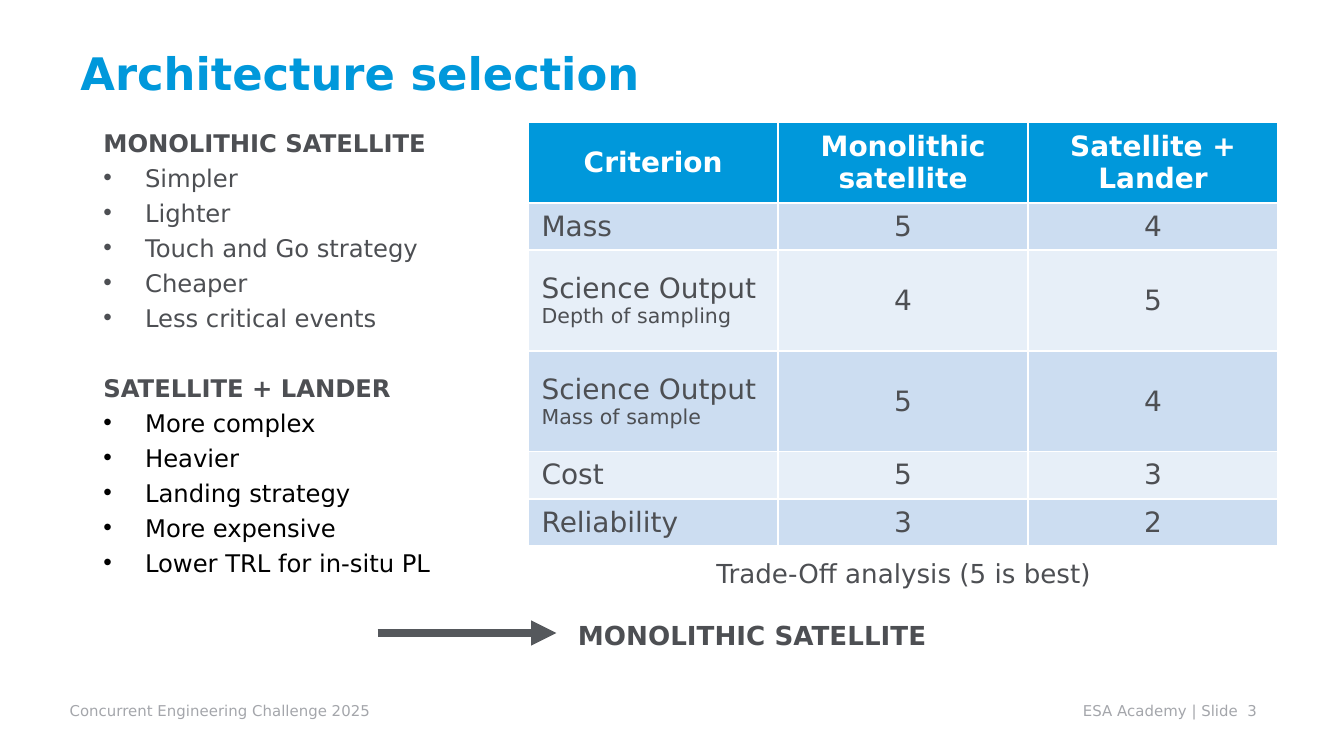
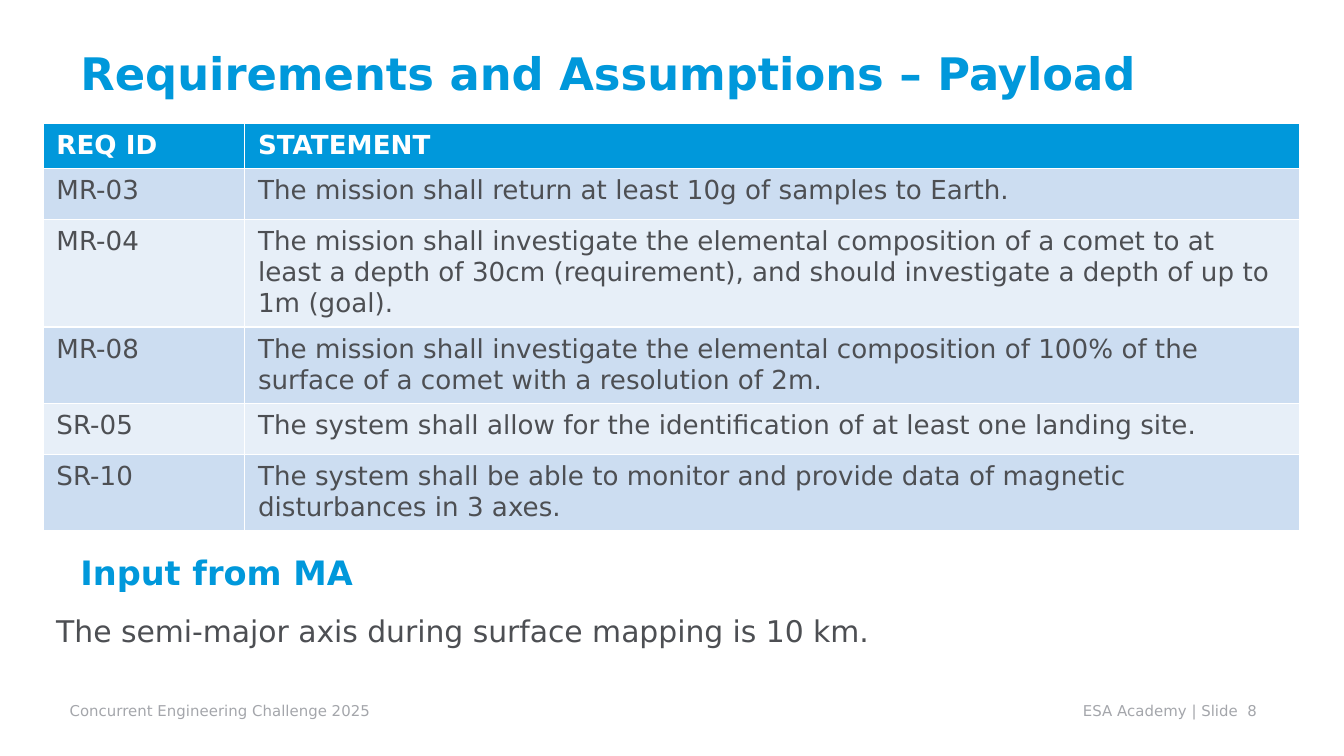
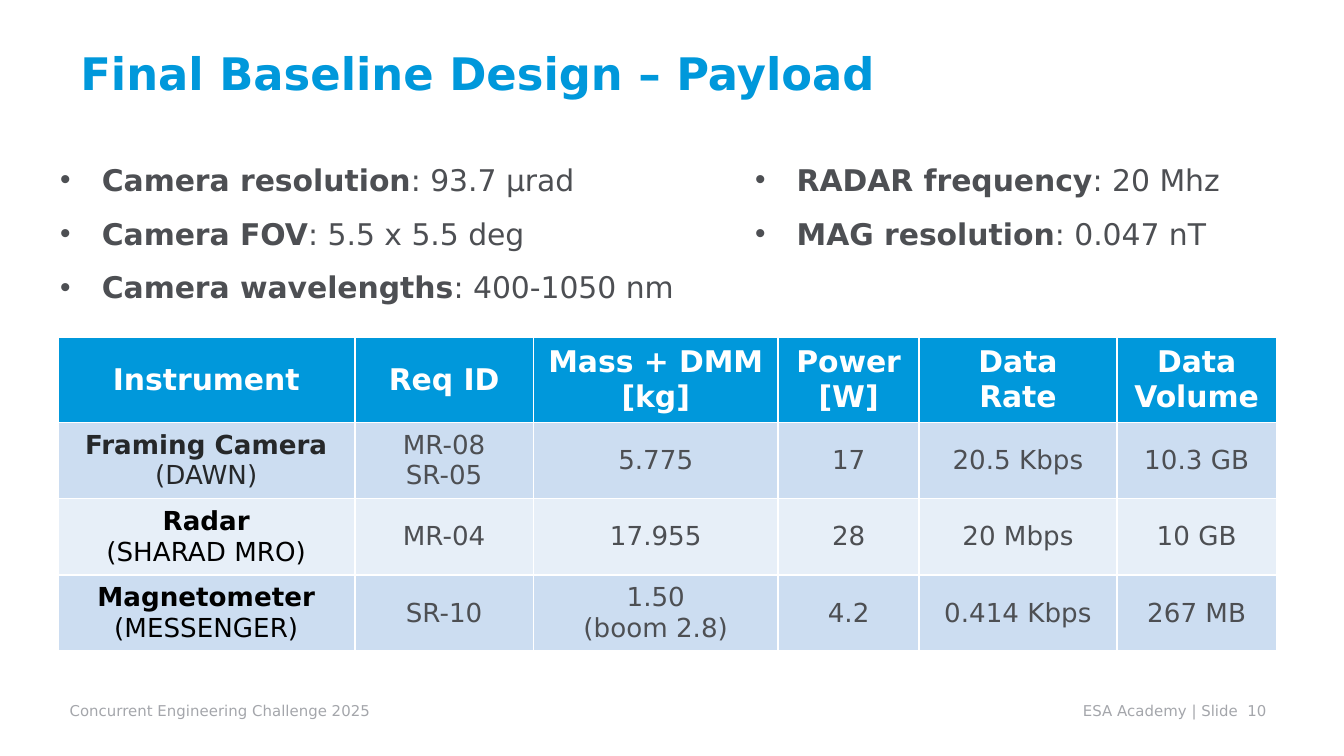
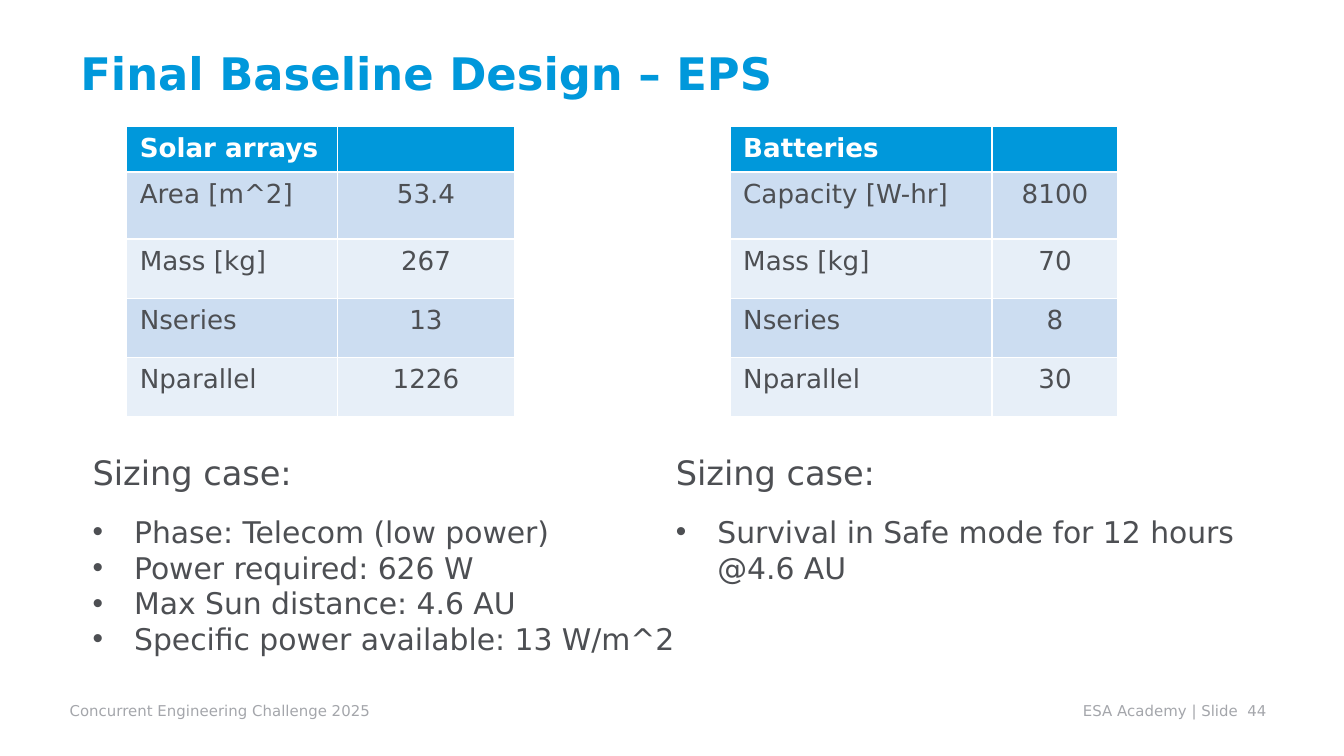
from dataclasses import dataclass

from lxml.etree import SubElement
from pptx import Presentation
from pptx.dml.color import RGBColor
from pptx.enum.shapes import MSO_CONNECTOR
from pptx.enum.text import MSO_ANCHOR, PP_ALIGN
from pptx.oxml.ns import qn
from pptx.util import Inches, Pt

STRAIGHT = MSO_CONNECTOR.STRAIGHT
TOP, MIDDLE = MSO_ANCHOR.TOP, MSO_ANCHOR.MIDDLE
LEFT, CENTER = PP_ALIGN.LEFT, PP_ALIGN.CENTER

FONT = "DejaVu Sans"
COLORS = {
    "accent": "0098DB",
    "text": "4D4F53",
    "dark": "26282A",
    "black": "000000",
    "white": "FFFFFF",
    "footer": "A4A6AB",
    "arrow": "55585C",
    "band": "CCDDF1",
    "band_light": "E7EFF8",
}
SLIDE_WIDTH = 10
SLIDE_HEIGHT = SLIDE_WIDTH * 9 / 16
TITLE_BOX = (0.5, 0.07, 9, 0.94)
NUMBER_BOX = (7.96, 5.17, 1.6, 0.21)
EVENT_BOX = (0.42, 5.17, 2.5, 0.21)
DEFAULT_INSETS = (0.1, 0.05, 0.1, 0.05)
FOOTER_INSETS = (0.1, 0.05, 0, 0.05)
NO_INSETS = (0, 0, 0, 0)
BULLET_INDENT = 0.31


@dataclass(frozen=True)
class Span:
    text: str
    size: float = None
    bold: bool = None


@dataclass(frozen=True)
class Line:
    content: object
    size: float = 14
    color: str = "text"
    bold: bool = False
    align: object = LEFT
    bullet: bool = False
    spacing: float = None
    before: float = None


def rgb(name):
    return RGBColor.from_string(COLORS[name])


def add_bullet(paragraph):
    properties = paragraph._p.get_or_add_pPr()
    properties.set("marL", str(Inches(BULLET_INDENT)))
    properties.set("indent", str(-Inches(BULLET_INDENT)))
    SubElement(properties, qn("a:buFont"), typeface="Arial")
    SubElement(properties, qn("a:buChar"), char="•")


def write_line(paragraph, line):
    spans = [Span(line.content)] if isinstance(line.content, str) else line.content
    if line.bullet:
        add_bullet(paragraph)
    paragraph.alignment = line.align
    if line.spacing:
        paragraph.line_spacing = line.spacing
    if line.before:
        paragraph.space_before = Pt(line.before)
    if line.content == "":
        SubElement(paragraph._p, qn("a:endParaRPr"), sz=str(line.size * 100))
        return
    for span in spans:
        run = paragraph.add_run()
        run.text = span.text
        run.font.name = FONT
        run.font.size = Pt(span.size or line.size)
        run.font.bold = line.bold if span.bold is None else span.bold
        run.font.color.rgb = rgb(line.color)


def write_lines(text_frame, lines):
    for index, line in enumerate(lines):
        paragraph = text_frame.add_paragraph() if index else text_frame.paragraphs[0]
        write_line(paragraph, line)


def add_text(slide, box, lines, insets=DEFAULT_INSETS, anchor=TOP):
    shape = slide.shapes.add_textbox(*(Inches(length) for length in box))
    text_frame = shape.text_frame
    text_frame.word_wrap = True
    text_frame.vertical_anchor = anchor
    (text_frame.margin_left, text_frame.margin_top,
     text_frame.margin_right, text_frame.margin_bottom) = map(Inches, insets)
    write_lines(text_frame, lines)


def add_table(slide, position, columns, heights, rows, aligns,
              size=14, header_size=None, header_align=LEFT, anchor=TOP):
    left, top = position
    frame = slide.shapes.add_table(
        len(rows), len(columns), Inches(left), Inches(top),
        Inches(sum(columns)), Inches(sum(heights)))
    table = frame.table
    for column, width in zip(table.columns, columns):
        column.width = Inches(width)
    for row, height in zip(table.rows, heights):
        row.height = Inches(height)
    for row_index, values in enumerate(rows):
        header = row_index == 0
        fill = "accent" if header else "band" if row_index % 2 else "band_light"
        for column_index, value in enumerate(values):
            cell = table.cell(row_index, column_index)
            cell.fill.solid()
            cell.fill.fore_color.rgb = rgb(fill)
            cell.vertical_anchor = anchor
            if isinstance(value, str):
                value = [
                    Line(text, header_size or size if header else size,
                         "white" if header else "text", header,
                         header_align if header else aligns[column_index])
                    for text in value.split("\n")]
            write_lines(cell.text_frame, value)


def add_arrow(slide, start, end):
    connector = slide.shapes.add_connector(STRAIGHT, *map(Inches, start + end))
    connector.line.color.rgb = rgb("arrow")
    connector.line.width = Pt(4.5)
    SubElement(connector.line._get_or_add_ln(), qn("a:tailEnd"), type="triangle")
    SubElement(connector._element.spPr, qn("a:effectLst"))


def add_base_slide(presentation, title, number):
    slide = presentation.slides.add_slide(presentation.slide_layouts[6])
    footers = ((NUMBER_BOX, f"ESA Academy | Slide  {number}"),
               (EVENT_BOX, "Concurrent Engineering Challenge 2025"))
    for box, text in footers:
        add_text(slide, box, [Line(text, 8, "footer")], FOOTER_INSETS)
    add_text(slide, TITLE_BOX, [Line(title, 24, "accent", True)], anchor=MIDDLE)
    return slide


def option_lines(heading, points, color, before=None):
    return [Line(heading, 13, bold=True, spacing=1.2, before=before)] + [
        Line(point, 13, color, bullet=True, spacing=1.2) for point in points]


def science_output(detail):
    return [Line([Span("Science Output "), Span(detail, size=11)], 15)]


def add_conclusion(slide, box, text):
    left, top, width, height = box
    arrow_y = top + 0.15
    add_arrow(slide, (left, arrow_y), (left + 1.33, arrow_y))
    add_text(slide, (left + 1.49, top, width - 1.49, height),
             [Line(text, bold=True, spacing=1.2)], NO_INSETS)


def build_architecture(presentation):
    slide = add_base_slide(presentation, "Architecture selection", 3)
    rows = [
        ("Criterion", "Monolithic satellite", "Satellite + Lander"),
        ("Mass", "5", "4"),
        (science_output("Depth of sampling"), "4", "5"),
        (science_output("Mass of sample"), "5", "4"),
        ("Cost", "5", "3"),
        ("Reliability", "3", "2"),
    ]
    add_table(slide, (3.93, 0.91), [1.86] * 3, (0.53, 0.3, 0.75, 0.75, 0.3, 0.3),
              rows, (LEFT, CENTER, CENTER), 15, header_align=CENTER, anchor=MIDDLE)
    monolithic = ("Simpler", "Lighter", "Touch and Go strategy", "Cheaper",
                  "Less critical events")
    lander = ("More complex", "Heavier", "Landing strategy", "More expensive",
              "Lower TRL for in-situ PL")
    add_text(slide, (0.77, 0.91, 4.32, 4.29),
             option_lines("MONOLITHIC SATELLITE", monolithic, "text")
             + option_lines("SATELLITE + LANDER", lander, "black", 18.75), NO_INSETS)
    add_text(slide, (5.22, 4.15, 3.01, 0.32),
             [Line("Trade-Off analysis (5 is best)", align=CENTER)], NO_INSETS)
    add_conclusion(slide, (2.81, 4.56, 4.33, 0.32), "MONOLITHIC SATELLITE")


def build_requirements(presentation):
    slide = add_base_slide(presentation, "Requirements and Assumptions – Payload", 8)
    rows = [
        ("REQ ID", "STATEMENT"),
        ("MR-03", "The mission shall return at least 10g of samples to Earth."),
        ("MR-04", "The mission shall investigate the elemental composition of a comet "
                  "to at least a depth of 30cm (requirement), and should investigate "
                  "a depth of up to 1m (goal)."),
        ("MR-08", "The mission shall investigate the elemental composition of 100% "
                  "of the surface of a comet with a resolution of 2m."),
        ("SR-05", "The system shall allow for the identification of at least one "
                  "landing site."),
        ("SR-10", "The system shall be able to monitor and provide data of magnetic "
                  "disturbances in 3 axes."),
    ]
    add_table(slide, (0.32, 0.92), (1.5, 7.85), (0.32, 0.38, 0.43, 0.38, 0.38, 0.38),
              rows, (LEFT, LEFT))
    add_text(slide, (0.5, 4.06, 2.27, 0.4),
             [Line("Input from MA", 18, "accent", True)])
    add_text(slide, (0.32, 4.51, 6.41, 0.37),
             [Line("The semi-major axis during surface mapping is 10 km.", 16)])


def instrument(name, heritage, color="black"):
    return [Line(name, color=color, bold=True, align=CENTER),
            Line(heritage, color=color, align=CENTER)]


def add_parameters(slide, box, parameters):
    add_text(slide, box, [
        Line([Span(name, bold=True), Span(f": {value}")], 16, bullet=True, spacing=1.5)
        for name, value in parameters])


def build_payload(presentation):
    slide = add_base_slide(presentation, "Final Baseline Design – Payload", 10)
    rows = [
        ("Instrument", "Req ID", "Mass + DMM [kg]", "Power\n[W]", "Data\nRate",
         "Data\nVolume"),
        (instrument("Framing Camera", "(DAWN)", "dark"), "MR-08\nSR-05", "5.775", "17",
         "20.5 Kbps", "10.3 GB"),
        (instrument("Radar", "(SHARAD MRO)"), "MR-04", "17.955", "28", "20 Mbps",
         "10 GB"),
        (instrument("Magnetometer", "(MESSENGER)"), "SR-10", "1.50\n(boom 2.8)", "4.2",
         "0.414 Kbps", "267 MB"),
    ]
    add_table(slide, (0.43, 2.51), (2.21, 1.33, 1.82, 1.05, 1.47, 1.19), [0.41] * 4,
              rows, [CENTER] * 6, header_size=16, header_align=CENTER, anchor=MIDDLE)
    add_parameters(slide, (0.35, 1.02, 5, 1.26), [
        ("Camera resolution", "93.7 µrad"),
        ("Camera FOV", "5.5 x 5.5 deg"),
        ("Camera wavelengths", "400-1050 nm")])
    add_parameters(slide, (5.52, 1.02, 4.4, 1.66), [
        ("RADAR frequency", "20 Mhz"),
        ("MAG resolution", "0.047 nT")])


def add_power_unit(slide, box, table_offset, columns, rows, sizing_points):
    left, top, width, height = box
    add_table(slide, (left + table_offset, top), columns,
              (0.34, 0.5, 0.44, 0.44, 0.44), rows, (LEFT, CENTER))
    points = [Line(point, 16, bullet=True, before=None if index else 11.6)
              for index, point in enumerate(sizing_points)]
    add_text(slide, (left, top + 2.37, width, height - 2.37),
             [Line("Sizing case:", 18)] + points)


def build_power(presentation):
    slide = add_base_slide(presentation, "Final Baseline Design – EPS", 44)
    batteries = [("Batteries", ""), ("Capacity [W-hr]", "8100"), ("Mass [kg]", "70"),
                 ("Nseries", "8"), ("Nparallel", "30")]
    solar_arrays = [("Solar arrays", ""), ("Area [m^2]", "53.4"), ("Mass [kg]", "267"),
                    ("Nseries", "13"), ("Nparallel", "1226")]
    add_power_unit(slide, (4.93, 0.94, 4.75, 3.78), 0.5, (1.95, 0.94), batteries,
                   ["Survival in Safe mode for 12 hours @4.6 AU"])
    add_power_unit(slide, (0.59, 0.94, 4.75, 4.32), 0.35, (1.57, 1.32), solar_arrays,
                   ["Phase: Telecom (low power)", "Power required: 626 W",
                    "Max Sun distance: 4.6 AU", "Specific power available: 13 W/m^2"])


def main():
    presentation = Presentation()
    presentation.slide_width = Inches(SLIDE_WIDTH)
    presentation.slide_height = Inches(SLIDE_HEIGHT)
    build_architecture(presentation)
    build_requirements(presentation)
    build_payload(presentation)
    build_power(presentation)
    presentation.save("out.pptx")


if __name__ == "__main__":
    main()
